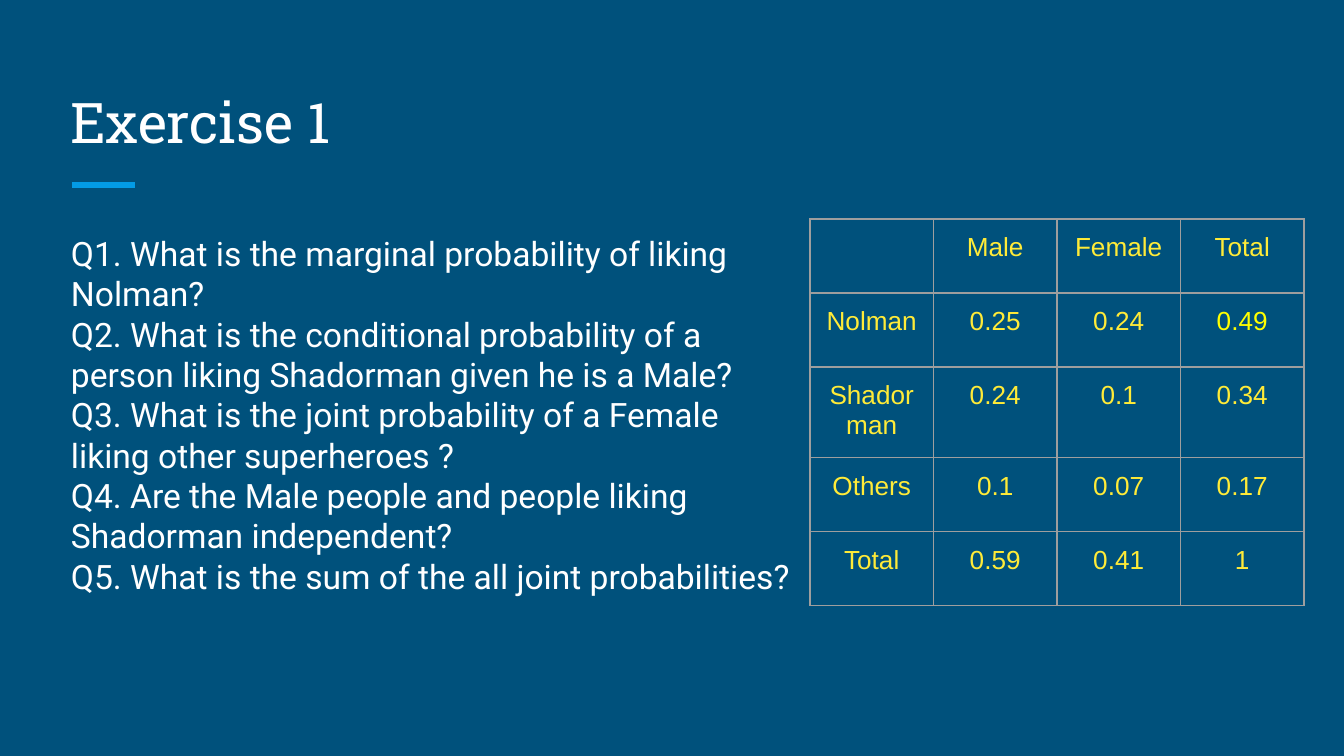
from pptx import Presentation
from pptx.dml.color import RGBColor
from pptx.enum.shapes import MSO_CONNECTOR
from pptx.enum.text import MSO_ANCHOR, PP_ALIGN
from pptx.oxml.ns import qn
from pptx.util import Emu, Pt
from lxml.etree import SubElement

SCALE = 914400 / 134.4
PAD = 14
TITLE = "Exercise 1"
LINES = [
    "Q1. What is the marginal probability of liking",
    "Nolman?",
    "Q2. What is the conditional probability of a",
    "person liking Shadorman given he is a Male?",
    "Q3. What is the joint probability of a Female",
    "liking other superheroes ?",
    "Q4. Are the Male people and people liking",
    "Shadorman independent?",
    "Q5. What is the sum of the all joint probabilities?",
]
ROWS = [
    ["", "Male", "Female", "Total"],
    ["Nolman", "0.25", "0.24", "0.49"],
    ["Shadorman", "0.24", "0.1", "0.34"],
    ["Others", "0.1", "0.07", "0.17"],
    ["Total", "0.59", "0.41", "1"],
]
BRIGHT = (1, 3)


def px(n):
    return Emu(round(n * SCALE))


def color(code):
    return RGBColor.from_string(code)


def add_run(para, text, face, size, code):
    run = para.add_run()
    run.text = text
    run.font.name = face
    run.font.size = Pt(size)
    run.font.bold = False
    run.font.color.rgb = color(code)


def set_pad(item):
    item.margin_left = item.margin_right = px(PAD)
    item.margin_top = item.margin_bottom = px(PAD)


def set_title(slide):
    title = slide.shapes.title
    title.left, title.top, title.width, title.height = map(px, (56, 68, 1230, 101))
    frame = title.text_frame
    frame.word_wrap = True
    frame.vertical_anchor = MSO_ANCHOR.BOTTOM
    set_pad(frame)
    para = frame.paragraphs[0]
    para.alignment = PP_ALIGN.LEFT
    add_run(para, TITLE, "Roboto Slab", 30, "FFFFFF")


def add_rule(slide):
    rule = slide.shapes.add_connector(
        MSO_CONNECTOR.STRAIGHT, px(72), px(185), px(135), px(185))
    rule.line.color.rgb = color("039BE5")
    rule.line.width = Pt(3)
    SubElement(rule._element.spPr, qn("a:effectLst"))


def add_body(slide):
    box = slide.shapes.add_textbox(px(57), px(219), px(1230), px(453))
    frame = box.text_frame
    frame.word_wrap = True
    set_pad(frame)
    for i, text in enumerate(LINES):
        para = frame.add_paragraph() if i else frame.paragraphs[0]
        add_run(para, text, "Roboto", 18, "FFFFFF")


def set_edges(cell):
    props = cell._tc.get_or_add_tcPr()
    for side in ("a:lnL", "a:lnR", "a:lnT", "a:lnB"):
        edge = SubElement(props, qn(side), w=str(Pt(0.75)))
        fill = SubElement(edge, qn("a:solidFill"))
        SubElement(fill, qn("a:srgbClr"), val="9E9E9E")


def add_grid(slide):
    wide, high = px(494), px(74)
    table = slide.shapes.add_table(
        len(ROWS), len(ROWS[0]), px(810), px(219), wide, high * len(ROWS)).table
    table.first_row = table.horz_banding = False
    for col in table.columns:
        col.width = wide // len(ROWS[0])
    for r, row in enumerate(ROWS):
        table.rows[r].height = high
        for c, text in enumerate(row):
            cell = table.cell(r, c)
            set_pad(cell)
            set_edges(cell)
            cell.fill.background()
            para = cell.text_frame.paragraphs[0]
            para.alignment = PP_ALIGN.CENTER
            if text:
                code = "FFFF00" if (r, c) == BRIGHT else "FFEB38"
                add_run(para, text, "Arial", 14, code)


def main():
    deck = Presentation()
    deck.slide_width, deck.slide_height = px(1344), px(756)
    slide = deck.slides.add_slide(deck.slide_layouts[5])
    back = slide.background.fill
    back.solid()
    back.fore_color.rgb = color("00517C")
    add_rule(slide)
    set_title(slide)
    add_body(slide)
    add_grid(slide)
    deck.save("out.pptx")


if __name__ == "__main__":
    main()
